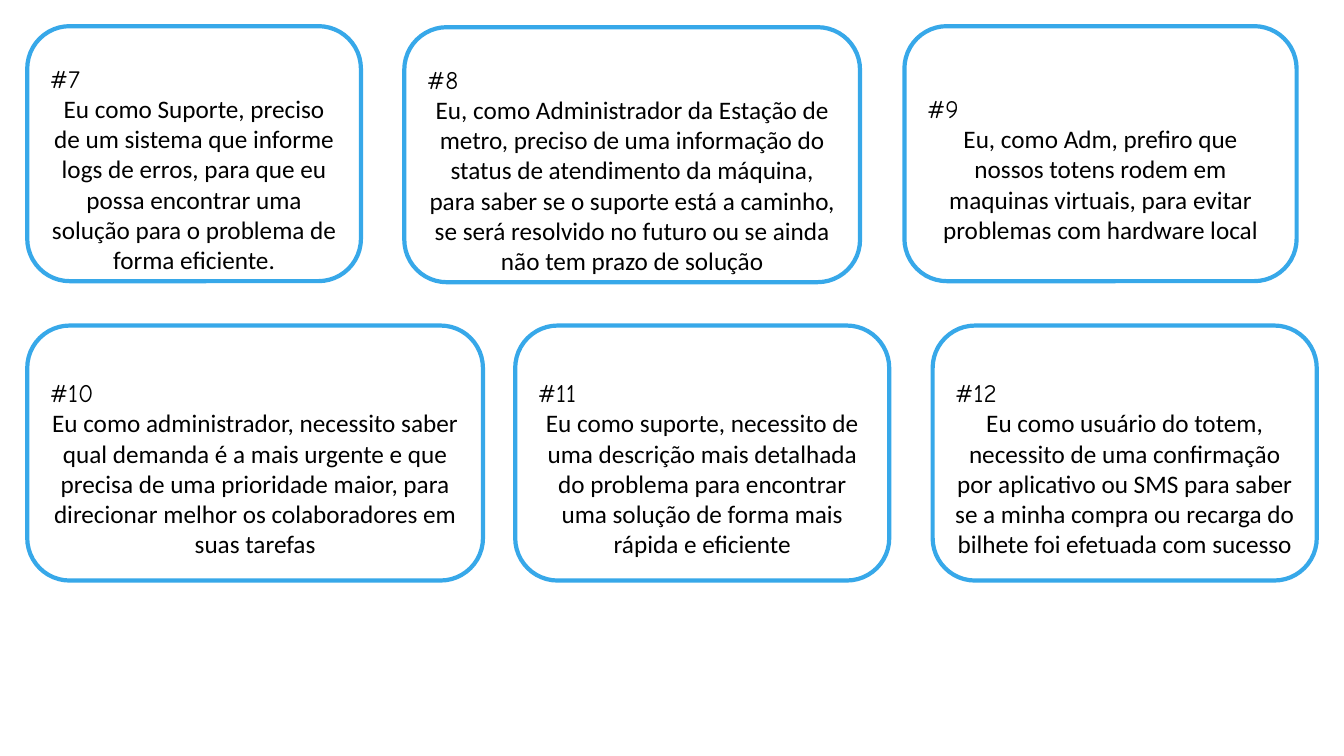
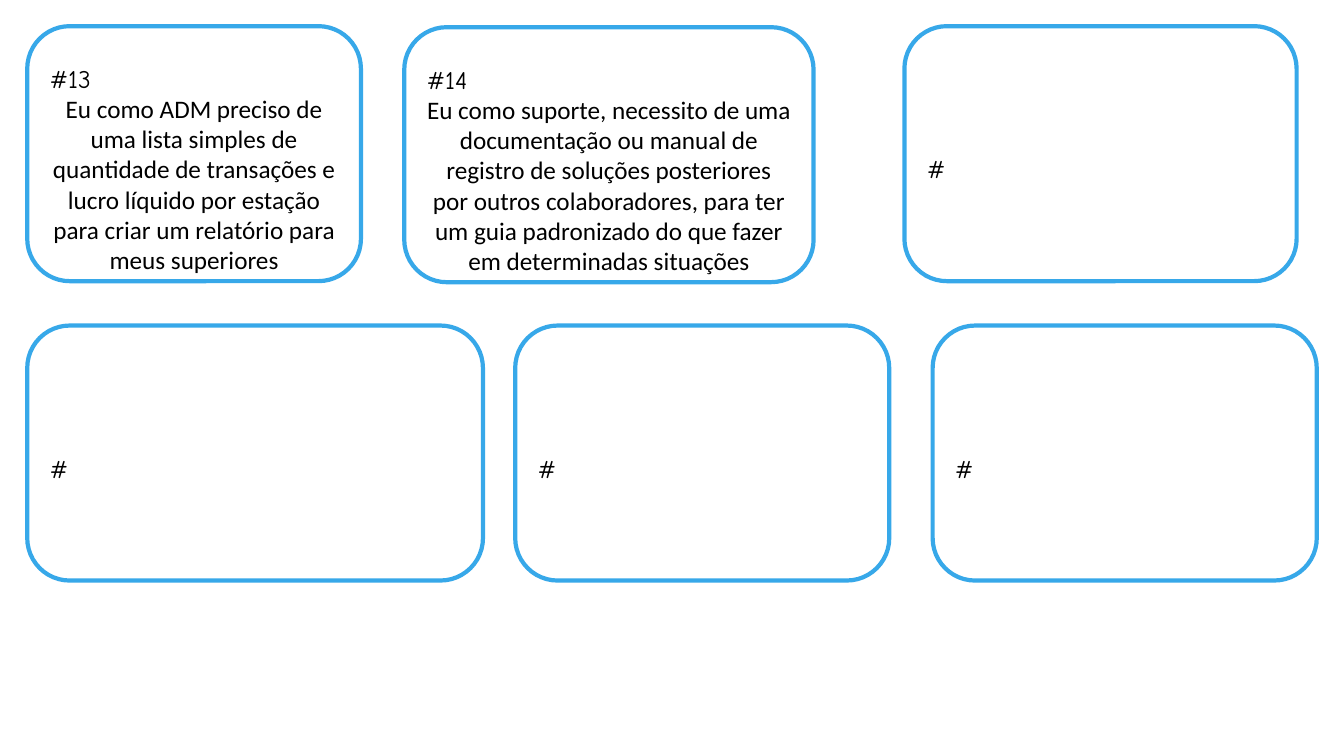
"""Build two slides of user story cards."""
from dataclasses import dataclass

import pptx
import pptx.dml.color
import pptx.enum.shapes
import pptx.enum.text
import pptx.util

Inches = pptx.util.Inches
Pt = pptx.util.Pt
Align = pptx.enum.text.PP_ALIGN


@dataclass(frozen=True)
class Theme:
    """Colours, fonts and sizes shared by every card."""
    outline: str = "37A8E9"
    card_fill: str = "FFFFFF"
    text: str = "000000"
    number_font: str = "Comic Neue"
    story_font: str = "Calibri"
    text_size: float = 18
    outline_width: float = 3
    card_height: float = 2.53
    top_inset: float = 0.35


THEME = Theme()

# Left, top and width of each card place, row by row
CARD_PLACES = [
    (0.27, 0.26, 3.31), (4.01, 0.27, 4.52), (8.97, 0.26, 3.89),
    (0.27, 3.23, 4.52), (5.11, 3.23, 3.71), (9.25, 3.23, 3.81),
]
NARROW_SECOND_CARD = (4.01, 0.27, 4.06)

FIRST_STORIES = [
    ("#7", "Eu como Suporte, preciso de um sistema que informe logs de erros, "
           "para que eu possa encontrar uma solução para o problema de forma "
           "eficiente."),
    ("#8", "Eu, como Administrador da Estação de metro, preciso de uma "
           "informação do status de atendimento da máquina, para saber se o "
           "suporte está a caminho, se será resolvido no futuro ou se ainda "
           "não tem prazo de solução"),
    ("#9", "Eu, como Adm, prefiro que nossos totens rodem em maquinas "
           "virtuais, para evitar problemas com hardware local"),
    ("#10", "Eu como administrador, necessito saber qual demanda é a mais "
            "urgente e que precisa de uma prioridade maior, para direcionar "
            "melhor os colaboradores em suas tarefas"),
    ("#11", "Eu como suporte, necessito de uma descrição mais detalhada do "
            "problema para encontrar uma solução de forma mais rápida e "
            "eficiente"),
    ("#12", "Eu como usuário do totem, necessito de uma confirmação por "
            "aplicativo ou SMS para saber se a minha compra ou recarga do "
            "bilhete foi efetuada com sucesso"),
]

SECOND_STORIES = [
    ("#13", "Eu como ADM preciso de uma lista simples de quantidade de "
            "transações e lucro líquido por estação para criar um relatório "
            "para meus superiores"),
    ("#14", "Eu como suporte, necessito de uma documentação ou manual de "
            "registro de soluções posteriores por outros colaboradores, para "
            "ter um guia padronizado do que fazer em determinadas situações"),
] + [("#", "")] * 4


def color(value):
    """Turn a hex string into an RGB colour."""
    return pptx.dml.color.RGBColor.from_string(value)


def write_paragraph(paragraph, text, font_name, alignment):
    """Fill one paragraph and format its run."""
    paragraph.text = text
    paragraph.alignment = alignment
    font = paragraph.runs[0].font
    font.name = font_name
    font.size = Pt(THEME.text_size)
    font.color.rgb = color(THEME.text)


def add_card(slide, place, number, story):
    """Add a rounded card with its number and, if any, its story."""
    left, top, width = place
    shape = slide.shapes.add_shape(
        pptx.enum.shapes.MSO_SHAPE.ROUNDED_RECTANGLE,
        Inches(left), Inches(top), Inches(width), Inches(THEME.card_height))
    shape.shadow.inherit = False
    shape.fill.solid()
    shape.fill.fore_color.rgb = color(THEME.card_fill)
    shape.line.color.rgb = color(THEME.outline)
    shape.line.width = Pt(THEME.outline_width)

    text_frame = shape.text_frame
    text_frame.word_wrap = True
    text_frame.vertical_anchor = pptx.enum.text.MSO_ANCHOR.MIDDLE
    text_frame.margin_top = Inches(THEME.top_inset)
    write_paragraph(text_frame.paragraphs[0], number, THEME.number_font, Align.LEFT)
    if story:
        write_paragraph(text_frame.add_paragraph(), story, THEME.story_font, Align.CENTER)


def add_story_slide(presentation, places, stories):
    """Add a blank slide and place one card per story."""
    slide = presentation.slides.add_slide(presentation.slide_layouts[6])
    for place, (number, story) in zip(places, stories):
        add_card(slide, place, number, story)


def main():
    """Build and save the presentation."""
    presentation = pptx.Presentation()
    presentation.slide_width = Inches(13.33)
    presentation.slide_height = Inches(7.5)
    add_story_slide(presentation, CARD_PLACES, FIRST_STORIES)
    second_places = [CARD_PLACES[0], NARROW_SECOND_CARD, *CARD_PLACES[2:]]
    add_story_slide(presentation, second_places, SECOND_STORIES)
    presentation.save("out.pptx")


main()
